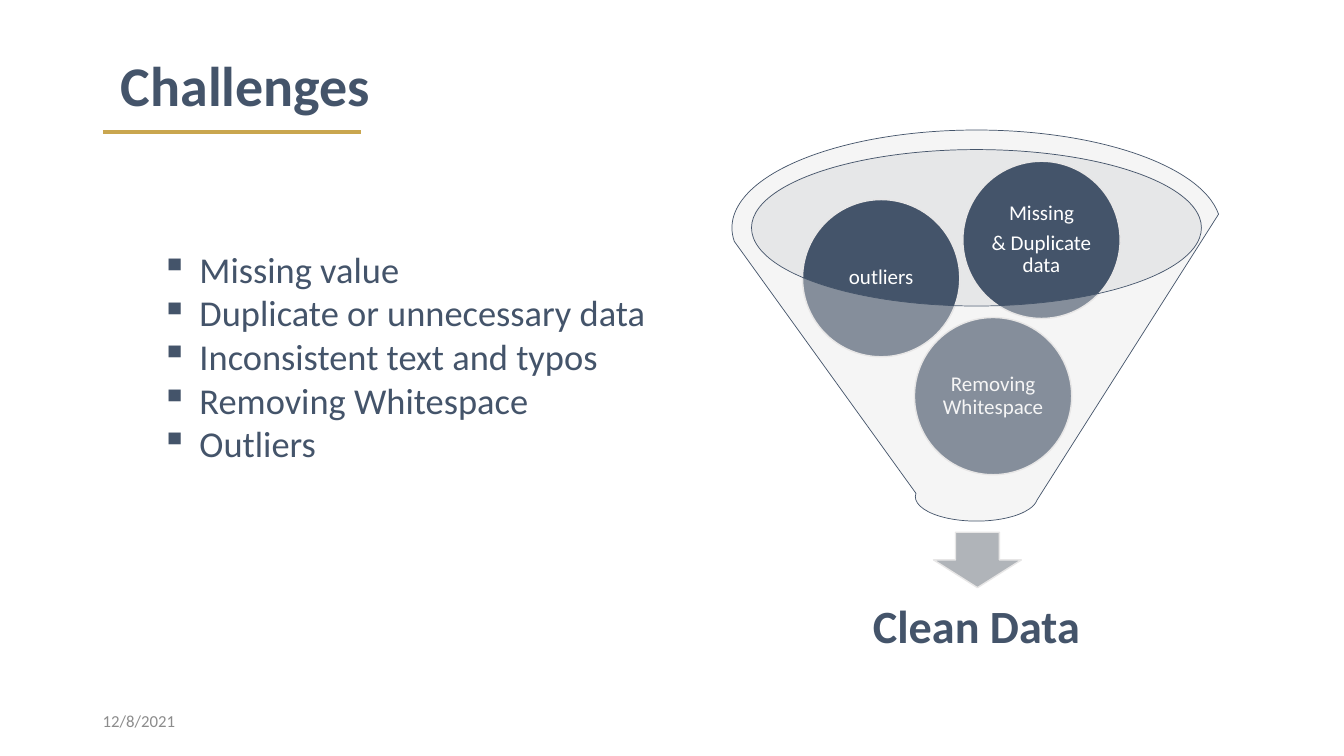
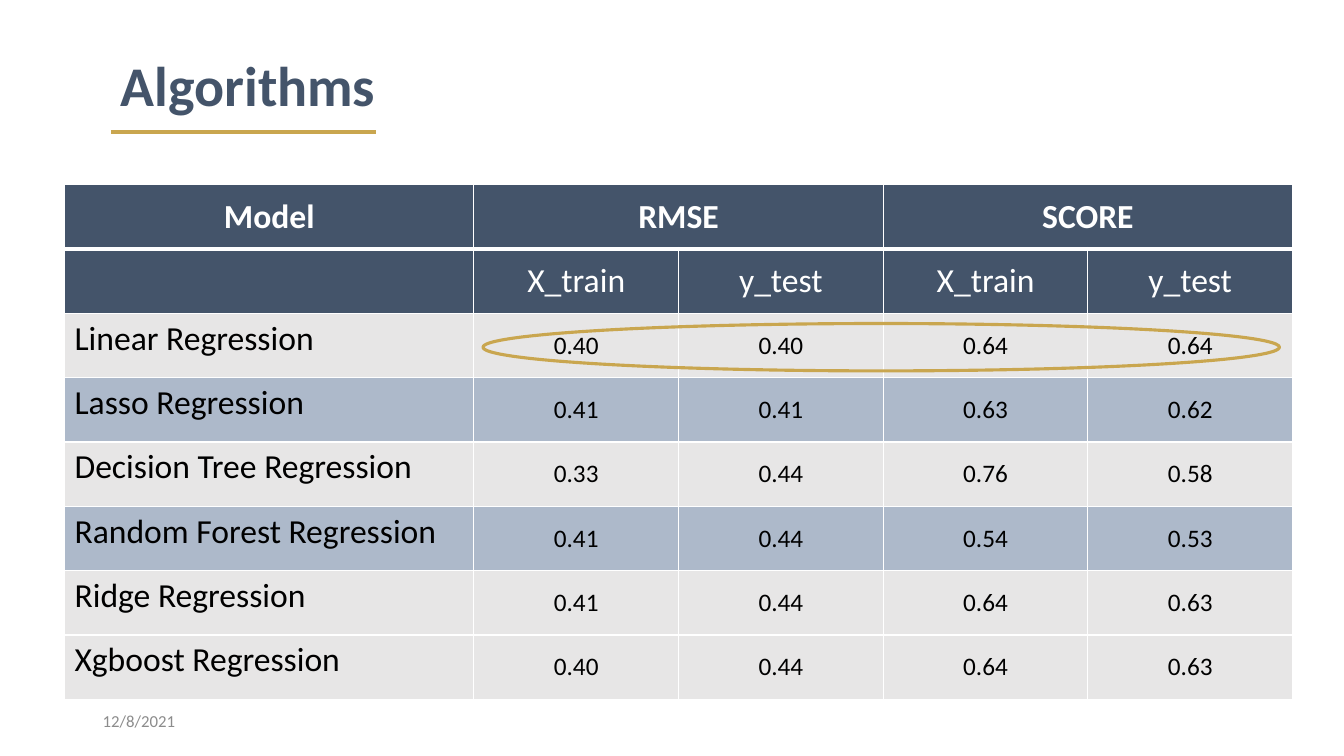
from lxml.etree import SubElement
from pptx import Presentation
from pptx.dml.color import RGBColor
from pptx.enum.shapes import MSO_CONNECTOR, MSO_SHAPE
from pptx.enum.text import MSO_ANCHOR, MSO_AUTO_SIZE, PP_ALIGN
from pptx.oxml.ns import qn
from pptx.util import Inches, Pt

FONT = "Calibri"
SLATE = RGBColor(0x44, 0x54, 0x6A)
GOLD = RGBColor(0xC9, 0xA6, 0x4F)
PALE = RGBColor(0xE7, 0xE6, 0xE6)
BLUE = RGBColor(0xAD, 0xB9, 0xCA)
RIM = RGBColor(0xC1, 0xC3, 0xC7)
ARROW = RGBColor(0xB0, 0xB4, 0xB9)
MUTED = RGBColor(0x8C, 0x8C, 0x8C)
WHITE = RGBColor(0xFF, 0xFF, 0xFF)
BLACK = RGBColor(0, 0, 0)

CHALLENGES = ["Missing value", "Duplicate or unnecessary data",
              "Inconsistent text and typos", "Removing Whitespace", "Outliers"]
BALLS = [(1.81, 1.86, "Removing Whitespace"), (0.7, 0.69, "outliers"),
         (2.29, 0.31, "Missing\n& Duplicate data")]
HEADINGS = ["Model", "RMSE", "", "SCORE", ""]
SUBHEADINGS = ["", "X_train", "y_test", "X_train", "y_test"]
SCORES = [
    ("Linear Regression", "0.40", "0.40", "0.64", "0.64"),
    ("Lasso Regression", "0.41", "0.41", "0.63", "0.62"),
    ("Decision Tree Regression", "0.33", "0.44", "0.76", "0.58"),
    ("Random Forest Regression", "0.41", "0.44", "0.54", "0.53"),
    ("Ridge Regression", "0.41", "0.44", "0.64", "0.63"),
    ("Xgboost Regression", "0.40", "0.44", "0.64", "0.63"),
]
ROW_FILLS = [SLATE, SLATE, PALE, BLUE, PALE, BLUE, PALE, PALE]


def write(frame, text, size, color, bold=False, align=PP_ALIGN.LEFT):
    """Fill a text frame and format every run alike."""
    frame.text = text
    for para in frame.paragraphs:
        para.alignment = align
        for span in para.runs:
            font = span.font
            font.name, font.size, font.bold = FONT, Pt(size), bold
            font.color.rgb = color


def write_centred(frame, text, size, color, inset, bold=False):
    """Fill a frame with tightly set text in its middle."""
    write(frame, text, size, color, bold, PP_ALIGN.CENTER)
    frame.word_wrap = True
    frame.vertical_anchor = MSO_ANCHOR.MIDDLE
    frame.margin_left = frame.margin_right = Inches(inset)
    frame.margin_top = frame.margin_bottom = Inches(inset)
    for para in frame.paragraphs:
        para.line_spacing = 0.9
        para.space_after = Pt(size * 0.35)


def add_text(page, left, top, width, height):
    """Add an empty text box and return its frame."""
    return page.shapes.add_textbox(
        Inches(left), Inches(top), Inches(width), Inches(height)).text_frame


def add_figure(page, kind, left, top, width, height,
               fill=None, line=None, weight=1, opacity=None):
    """Add a preset shape with optional fill, outline and opacity."""
    shape = page.shapes.add_shape(
        kind, Inches(left), Inches(top), Inches(width), Inches(height))
    shape.shadow.inherit = False
    if fill is None:
        shape.fill.background()
    else:
        shape.fill.solid()
        shape.fill.fore_color.rgb = fill
    if opacity is not None:
        color = shape.fill._xPr.find(qn("a:solidFill"))[0]
        SubElement(color, qn("a:alpha")).set("val", str(opacity * 1000))
    if line is None:
        shape.line.fill.background()
    else:
        shape.line.color.rgb = line
        shape.line.width = Pt(weight)
    return shape


def add_page(deck, title, title_width, rule_left, rule_right):
    """Add a blank page with the date, the title and its gold rule."""
    page = deck.slides.add_slide(deck.slide_layouts[6])
    date = add_text(page, 0.92, 6.95, 3, 0.4)
    write(date, "12/8/2021", 12, MUTED)
    date.vertical_anchor = MSO_ANCHOR.MIDDLE
    heading = add_text(page, 1.1, 0.45, title_width, 0.77)
    write(heading, title, 40, SLATE, True)
    heading.word_wrap = False
    heading.auto_size = MSO_AUTO_SIZE.SHAPE_TO_FIT_TEXT
    rule = page.shapes.add_connector(
        MSO_CONNECTOR.STRAIGHT, Inches(rule_left), Inches(1.31),
        Inches(rule_right), Inches(1.31))
    rule.line.color.rgb = GOLD
    rule.line.width = Pt(2.25)
    SubElement(rule._element.spPr, qn("a:effectLst"))
    return page


def add_funnel(page, left, top):
    """Draw the funnel, its three balls and the result below."""
    add_figure(page, MSO_SHAPE.OVAL, left + 0.19, top + 0.19, 4.47, 1.55, RIM, opacity=40)
    add_figure(page, MSO_SHAPE.DOWN_ARROW, left + 2, top + 3.99, 0.87, 0.55, ARROW, PALE)
    result = add_text(page, left + 0.35, top + 4.43, 4.15, 1.04)
    write_centred(result, "Clean Data", 33, SLATE, 0.26, True)
    for across, down, label in BALLS:
        ball = add_figure(page, MSO_SHAPE.OVAL, left + across, top + down,
                          1.56, 1.56, SLATE, PALE)
        write_centred(ball.text_frame, label, 15, WHITE, 0.02)
    add_figure(page, MSO_SHAPE.FUNNEL, left, top, 4.85, 3.88, PALE, SLATE, 0.5, 40)


def add_bullets(page, left, top, width, height):
    """List the challenges with square bullets."""
    frame = add_text(page, left, top, width, height)
    write(frame, "\n".join(CHALLENGES), 26, SLATE)
    frame.word_wrap = False
    frame.auto_size = MSO_AUTO_SIZE.SHAPE_TO_FIT_TEXT
    for para in frame.paragraphs:
        props = para._p.get_or_add_pPr()
        props.set("marL", str(Inches(0.38)))
        props.set("indent", str(-Inches(0.38)))
        SubElement(props, qn("a:buChar")).set("char", "▪")


def add_borders(cell, top, bottom):
    """Outline a cell in white with the given top and bottom weights."""
    props = cell._tc.get_or_add_tcPr()
    for side, weight in (("L", 1), ("R", 1), ("T", top), ("B", bottom)):
        line = SubElement(props, qn(f"a:ln{side}"))
        line.set("w", str(Pt(weight)))
        fill = SubElement(line, qn("a:solidFill"))
        SubElement(fill, qn("a:srgbClr")).set("val", str(WHITE))


def add_scores(page, left, top, width, height):
    """Tabulate the models and ring the best one."""
    rows = [HEADINGS, SUBHEADINGS, *SCORES]
    table = page.shapes.add_table(
        len(rows), 5, Inches(left), Inches(top), Inches(width), Inches(height)).table
    table.first_row = table.horz_banding = False
    for index, column in enumerate(table.columns):
        column.width = Inches(width / 3 if index == 0 else width / 6)
    for row, texts in enumerate(rows):
        table.rows[row].height = Inches(height / len(rows))
        for col, text in enumerate(texts):
            cell = table.cell(row, col)
            header, name = row < 2, col == 0
            write(cell.text_frame, text, 24 if header or name else 18,
                  WHITE if header else BLACK, row == 0,
                  PP_ALIGN.CENTER if header or not name else PP_ALIGN.LEFT)
            if header or not name:
                cell.vertical_anchor = MSO_ANCHOR.MIDDLE
            add_borders(cell, 3 if row == 1 else 1, 3 if row == 0 else 1)
            cell.fill.solid()
            cell.fill.fore_color.rgb = ROW_FILLS[row]
    for col in (1, 3):
        table.cell(0, col).merge(table.cell(0, col + 1))
    add_figure(page, MSO_SHAPE.OVAL, left + 4.15, top + 1.38, 7.9, 0.47,
               line=GOLD, weight=2.25)


def main():
    """Build and save the deck."""
    deck = Presentation()
    deck.slide_width, deck.slide_height = Inches(13.33), Inches(7.5)
    challenges = add_page(deck, "Challenges", 2.7, 1.02, 3.58)
    add_funnel(challenges, 7.26, 1.29)
    add_bullets(challenges, 1.5, 2.4, 5.05, 2.29)
    algorithms = add_page(deck, "Algorithms", 2.76, 1.1, 3.73)
    add_scores(algorithms, 0.64, 1.83, 12.18, 5.11)
    deck.save("out.pptx")


if __name__ == "__main__":
    main()
